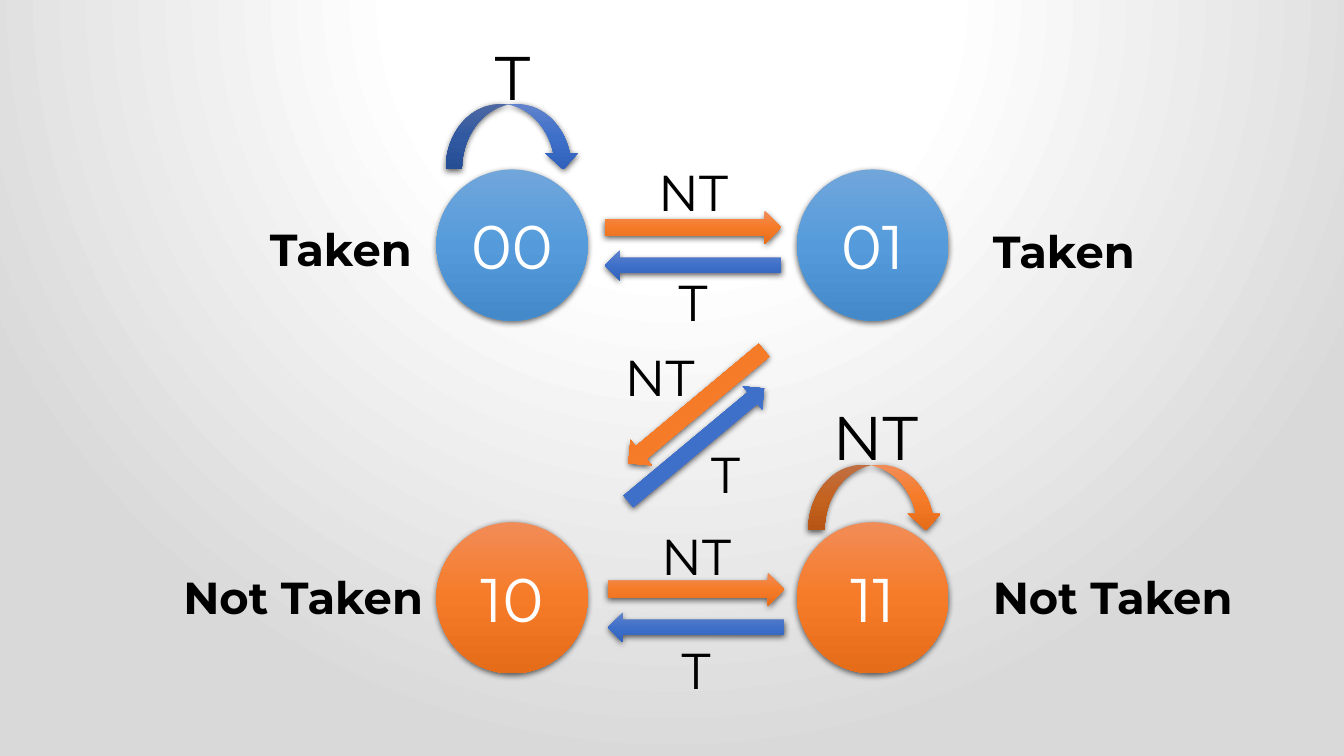
from pptx import Presentation
from pptx.dml.color import RGBColor
from pptx.enum.shapes import MSO_SHAPE
from pptx.enum.text import MSO_ANCHOR, MSO_AUTO_SIZE, PP_ALIGN
from pptx.oxml import parse_xml
from pptx.oxml.ns import nsdecls, qn
from pptx.util import Cm, Pt

OVAL = MSO_SHAPE.OVAL
RIGHT = MSO_SHAPE.RIGHT_ARROW
LEFT = MSO_SHAPE.LEFT_ARROW
CURVE = MSO_SHAPE.CURVED_DOWN_ARROW
MIDDLE = MSO_ANCHOR.MIDDLE
GROW = MSO_AUTO_SIZE.SHAPE_TO_FIT_TEXT
CENTER = PP_ALIGN.CENTER
START = PP_ALIGN.LEFT

FONT = "Montserrat"
BLACK, WHITE = "000000", "FFFFFF"
SKY = [(0, "71A6DB"), (50, "559BDB"), (100, "448ACA")]
BLUE = [(0, "6183CB"), (50, "3E70CA"), (100, "3062BB")]
ORANGE = [(0, "F18C57"), (50, "F67B28"), (100, "E56C19")]
GREY = [(0, WHITE), (35, WHITE), (100, "D9D9D9")]
DOWN = '<a:lin ang="5400000" scaled="0"/>'
ROUND = ('<a:path path="circle"><a:fillToRect l="50000" t="-80000" '
         'r="50000" b="180000"/></a:path>')
NODE = 3.81
LOOP = 3.38


def color(text):
    """Turn a hex string into a colour."""
    return RGBColor.from_string(text)


def blend(fill, root, stops, course):
    """Give a fill under root the gradient stops along a course."""
    fill.gradient()
    old = next(root.iter(qn("a:gradFill")))
    marks = "".join(f'<a:gs pos="{at * 1000}"><a:srgbClr val="{tone}"/></a:gs>'
                    for at, tone in stops)
    new = parse_xml(f'<a:gradFill {nsdecls("a")} rotWithShape="1">'
                    f'<a:gsLst>{marks}</a:gsLst>{course}</a:gradFill>')
    old.getparent().replace(old, new)


def shade(shape):
    """Put a soft shadow below a shape."""
    shape.shadow.inherit = False
    list_ = next(shape.element.iter(qn("a:effectLst")))
    list_.append(parse_xml(
        f'<a:outerShdw {nsdecls("a")} blurRad="57150" dist="19050" dir="5400000" '
        'algn="ctr" rotWithShape="0"><a:srgbClr val="000000">'
        '<a:alpha val="63000"/></a:srgbClr></a:outerShdw>'))


def draw(slide, kind, x, y, w, h, stops):
    """Add a shaded preset shape."""
    shape = slide.shapes.add_shape(kind, Cm(x), Cm(y), Cm(w), Cm(h))
    blend(shape.fill, shape.element, stops, DOWN)
    shape.line.fill.background()
    shade(shape)
    return shape


def write(frame, text, size, tone, bold=False, align=CENTER):
    """Write one run on one line into a text frame."""
    frame.word_wrap = False
    para = frame.paragraphs[0]
    para.alignment = align
    run = para.add_run()
    run.text = text
    run.font.name = FONT
    run.font.size = Pt(size)
    run.font.bold = bold
    run.font.color.rgb = color(tone)


def label(slide, x, y, w, text, size, bold=False, align=CENTER):
    """Add a black text box whose height follows its size."""
    high = size * 0.042 + 0.29
    box = slide.shapes.add_textbox(Cm(x), Cm(y), Cm(w), Cm(high))
    write(box.text_frame, text, size, BLACK, bold, align)
    box.text_frame.auto_size = GROW


def node(slide, x, y, code, stops):
    """Add one state circle with its code."""
    shape = draw(slide, OVAL, x, y, NODE, NODE, stops)
    shape.text_frame.vertical_anchor = MIDDLE
    write(shape.text_frame, code, 44, WHITE)


def loop(slide, x, y, text, wide, stops):
    """Add an arrow back to its own state, with its letters above."""
    draw(slide, CURVE, x, y, LOOP, 1.65, stops)
    label(slide, x + (LOOP - wide) / 2, y - 1.77, wide, text, 44)


def pair(slide, x, y, angle, over, under):
    """Add two opposed arrows, labelled at offsets from their corner."""
    rows = [(RIGHT, 0, 0.84, ORANGE, "NT", 2.51, over),
            (LEFT, 1, 0.76, BLUE, "T", 1.45, under)]
    for kind, down, high, stops, *_ in rows:
        draw(slide, kind, x, y + down, 4.45, high, stops).rotation = angle
    for *_, text, wide, (dx, dy) in rows:
        label(slide, x + dx, y + dy, wide, text, 36)


def states(slide, x, y):
    """Add the grid of four states with names and loops."""
    gap_x, gap_y = 9.09, 8.89
    codes = [("00", "01", SKY), ("10", "11", ORANGE)]
    for row, (*names, stops) in enumerate(codes):
        for col, code in enumerate(names):
            node(slide, x + col * gap_x, y + row * gap_y, code, stops)
    for dx, dy, wide, text in [(-4.45, 1.19, 4.29, "Taken"),
                               (13.77, 1.24, 4.29, "Taken"),
                               (-6.63, 9.95, 6.88, "Not Taken"),
                               (13.77, 9.95, 6.88, "Not Taken")]:
        label(slide, x + dx, y + dy, wide, text, 32, True, START)
    loop(slide, x + 0.23, y - 1.65, "T", 1.65, BLUE)
    loop(slide, x + gap_x + 0.28, y + gap_y - 1.45, "NT", 2.95, ORANGE)


def moves(slide, x, y):
    """Add the three pairs of arrows between states."""
    pair(slide, x, y, 0, (0.97, -1.37), (1.5, 1.4))
    pair(slide, x + 0.08, y + 4.52, 140.2, (0.05, -1.24), (2.24, 1.22))
    pair(slide, x + 0.08, y + 9.12, 0, (0.97, -1.32), (1.5, 1.55))


def main():
    """Build the slide and save it."""
    deck = Presentation()
    deck.slide_width, deck.slide_height = Cm(33.87), Cm(19.05)
    slide = deck.slides.add_slide(deck.slide_layouts[6])
    blend(slide.background.fill, slide.element, GREY, ROUND)
    states(slide, 11, 4.27)
    moves(slide, 15.24, 5.31)
    deck.save("out.pptx")


if __name__ == "__main__":
    main()
